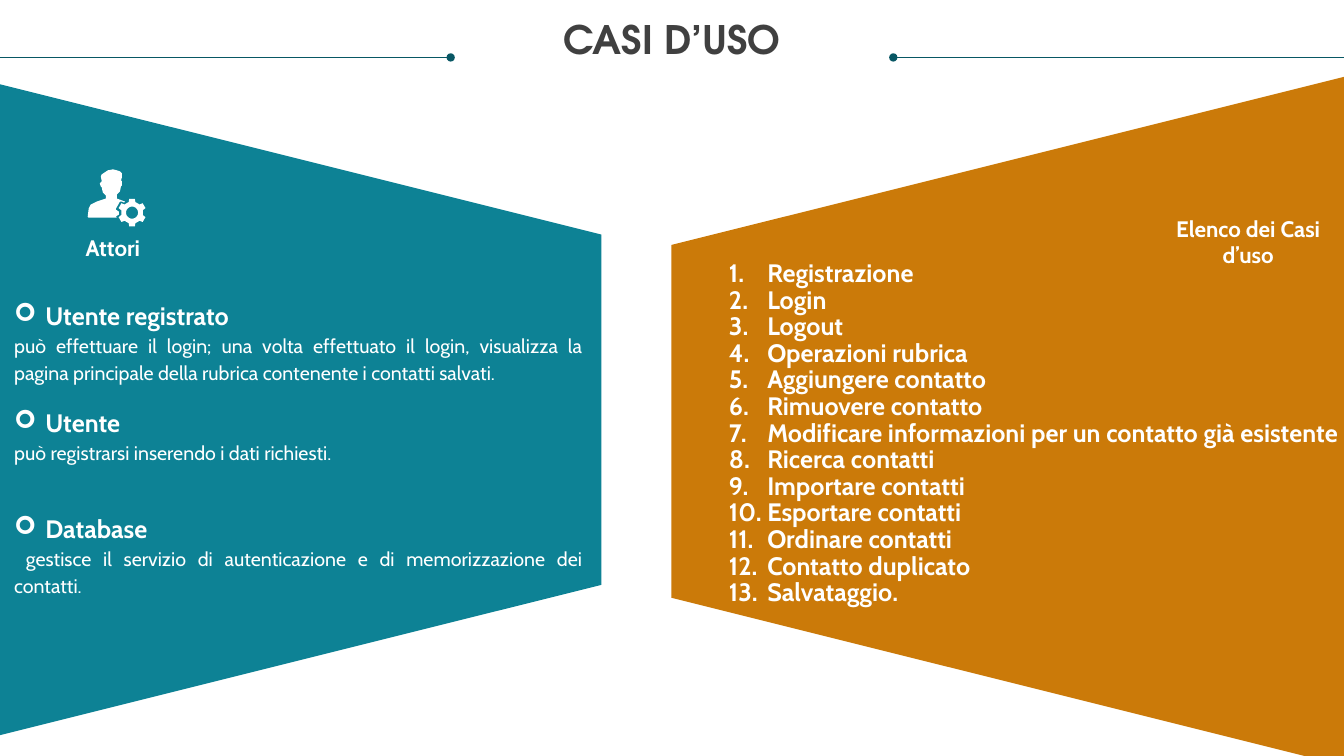
from dataclasses import dataclass
from math import cos, pi, sin

from lxml.etree import SubElement
from pptx import Presentation
from pptx.dml.color import RGBColor
from pptx.enum.shapes import MSO_CONNECTOR, MSO_SHAPE
from pptx.enum.text import MSO_ANCHOR, PP_ALIGN
from pptx.oxml.ns import qn
from pptx.slide import Slide
from pptx.util import Inches, Pt

COLORS = {
    "rule": "085764",
    "title": "404040",
    "actors": "0D8295",
    "cases": "CB7A09",
    "white": "FFFFFF",
}
HEADING_FONT = "TeX Gyre Adventor"
BODY_FONT = "Cabin"
LIST_LEADING = Pt(19)
UNITS_PER_INCH = 1000
Point = tuple[float, float]


@dataclass
class Rule:
    start: float
    end: float
    dot_end: str


@dataclass
class Panel:
    left: float
    top: float
    width: float
    height: float
    rotation: int
    color: str


@dataclass
class Line:
    text: str
    size: int
    bold: bool = True
    align: PP_ALIGN = PP_ALIGN.CENTER
    color: str = "white"
    font: str = BODY_FONT
    spacing: float | Pt | None = None
    before: int = 0
    bullet: tuple[str, str, str] | None = None
    bullet_font: str = BODY_FONT
    indent: float = 0


@dataclass
class TextBlock:
    left: float
    top: float
    width: float
    height: float
    lines: list[Line]
    inset_top: float = 0


def actor(name: str, description: str, before: int) -> list[Line]:
    shared = {"align": PP_ALIGN.JUSTIFY, "spacing": LIST_LEADING}
    return [
        Line(name, 18, before=before, bullet=("a:buChar", "char", "➢"),
             bullet_font="Wingdings", indent=0.31, **shared),
        Line(description, 14, bold=False, **shared),
    ]


def use_case(name: str) -> Line:
    return Line(name, 18, align=PP_ALIGN.JUSTIFY, spacing=LIST_LEADING,
                bullet=("a:buAutoNum", "type", "arabicPeriod"), indent=0.38)


RULES = [Rule(0, 4.47, "a:tailEnd"), Rule(8.86, 13.33, "a:headEnd")]
PANELS = [
    Panel(-0.25, 1.08, 6.46, 5.97, 90, "actors"),
    Panel(6.58, 0.84, 6.84, 6.68, 270, "cases"),
]
ACTORS = [
    *actor("Utente registrato",
           "può effettuare il login; una volta effettuato il login, visualizza la "
           "pagina principale della rubrica contenente i contatti salvati.", 0),
    *actor("Utente", "può registrarsi inserendo i dati richiesti.", 19),
    *actor("Database",
           " gestisce il servizio di autenticazione e di memorizzazione dei contatti.", 38),
]
USE_CASES = [
    "Registrazione", "Login", "Logout", "Operazioni rubrica", "Aggiungere contatto",
    "Rimuovere contatto", "Modificare informazioni per un contatto già esistente",
    "Ricerca contatti", "Importare contatti", "Esportare contatti", "Ordinare contatti",
    "Contatto duplicato", "Salvataggio.",
]
TITLE = Line("CASI D’USO", 28, color="title", font=HEADING_FONT, spacing=0.9)
TEXT_BLOCKS = [
    TextBlock(0.25, 0.2, 12.83, 0.85, [TITLE]),
    TextBlock(0.37, 2.32, 1.5, 0.27, [Line("Attori", 16)]),
    TextBlock(0.14, 2.75, 5.64, 3.18, ACTORS, inset_top=0.27),
    TextBlock(7.23, 2.59, 6.38, 3.44, [use_case(name) for name in USE_CASES]),
    TextBlock(11.63, 2.13, 1.5, 0.54, [Line("Elenco dei Casi d’uso", 16)]),
]
PERSON = [
    (1.16, 2.14), (1.18, 2.13), (1.18, 2.1), (1.15, 2.08), (1.15, 2.07), (1.19, 2),
    (1.21, 2), (1.23, 2.01), (1.24, 2), (1.16, 1.97), (1.16, 1.93), (1.19, 1.9),
    (1.2, 1.85), (1.21, 1.84), (1.21, 1.8), (1.2, 1.79), (1.21, 1.76), (1.21, 1.72),
    (1.19, 1.7), (1.16, 1.69), (1.12, 1.68), (1.07, 1.69), (1.04, 1.71), (1.01, 1.73),
    (1, 1.75), (1.01, 1.8), (0.99, 1.82), (1, 1.85), (1.01, 1.86), (1.02, 1.91),
    (1.05, 1.94), (1.05, 1.97), (0.96, 2), (0.9, 2.03), (0.88, 2.07), (0.87, 2.15),
    (0.88, 2.16), (1.16, 2.16), (1.15, 2.15),
]


def ring_point(radius: float, angle: float) -> Point:
    return 1.31 + radius * cos(angle), 2.11 + radius * sin(angle)


def gear_contours() -> list[list[Point]]:
    corners = [(0.11, -0.3), (0.14, -0.2), (0.14, 0.2), (0.11, 0.3)]
    teeth = [ring_point(radius, pi / 2 + tooth * pi / 3 + offset)
             for tooth in range(6) for radius, offset in corners]
    hole = [ring_point(0.06, -step * pi / 12) for step in range(24)]
    return [teeth, hole]


def rgb(name: str) -> RGBColor:
    return RGBColor.from_string(COLORS[name])


def add_rule(slide: Slide, rule: Rule) -> None:
    connector = slide.shapes.add_connector(
        MSO_CONNECTOR.STRAIGHT, Inches(rule.start), Inches(0.57), Inches(rule.end), Inches(0.57))
    connector.line.color.rgb = rgb("rule")
    connector.line.width = Pt(0.5)
    properties = connector.element.spPr
    SubElement(properties.find(qn("a:ln")), qn(rule.dot_end), type="oval")
    SubElement(properties, qn("a:effectLst"))


def paint(shape, color: str) -> None:
    shape.shadow.inherit = False
    shape.fill.solid()
    shape.fill.fore_color.rgb = rgb(color)
    shape.line.fill.background()


def add_panel(slide: Slide, panel: Panel) -> None:
    shape = slide.shapes.add_shape(
        MSO_SHAPE.TRAPEZOID, Inches(panel.left), Inches(panel.top),
        Inches(panel.width), Inches(panel.height))
    shape.rotation = panel.rotation
    paint(shape, panel.color)


def add_outline(slide: Slide, contours: list[list[Point]]) -> None:
    scaled = [[(x * UNITS_PER_INCH, y * UNITS_PER_INCH) for x, y in contour]
              for contour in contours]
    builder = slide.shapes.build_freeform(*scaled[0][0], scale=Inches(1) / UNITS_PER_INCH)
    for index, contour in enumerate(scaled):
        if index:
            builder.move_to(*contour[0])
        builder.add_line_segments(contour[1:], close=True)
    paint(builder.convert_to_shape(), "white")


def add_text_block(slide: Slide, block: TextBlock) -> None:
    box = slide.shapes.add_textbox(
        Inches(block.left), Inches(block.top), Inches(block.width), Inches(block.height))
    frame = box.text_frame
    frame.word_wrap = True
    frame.vertical_anchor = MSO_ANCHOR.TOP
    frame.margin_left = frame.margin_right = frame.margin_bottom = 0
    frame.margin_top = Inches(block.inset_top)
    for index, line in enumerate(block.lines):
        paragraph = frame.add_paragraph() if index else frame.paragraphs[0]
        paragraph.text = line.text
        paragraph.alignment = line.align
        paragraph.line_spacing = line.spacing
        paragraph.space_before = Pt(line.before)
        if line.bullet:
            tag, attribute, value = line.bullet
            properties = paragraph._p.get_or_add_pPr()
            properties.set("marL", str(Inches(line.indent)))
            properties.set("indent", str(-Inches(line.indent)))
            SubElement(properties, qn("a:buFont"), typeface=line.bullet_font)
            SubElement(properties, qn(tag)).set(attribute, value)
        paragraph.font.name = line.font
        paragraph.font.size = Pt(line.size)
        paragraph.font.bold = line.bold
        paragraph.font.color.rgb = rgb(line.color)


def main() -> None:
    presentation = Presentation()
    presentation.slide_width, presentation.slide_height = Inches(13.33), Inches(7.5)
    slide = presentation.slides.add_slide(presentation.slide_layouts[6])
    for rule in RULES:
        add_rule(slide, rule)
    for panel in PANELS:
        add_panel(slide, panel)
    for contours in ([PERSON], gear_contours()):
        add_outline(slide, contours)
    for block in TEXT_BLOCKS:
        add_text_block(slide, block)
    presentation.save("out.pptx")


if __name__ == "__main__":
    main()
